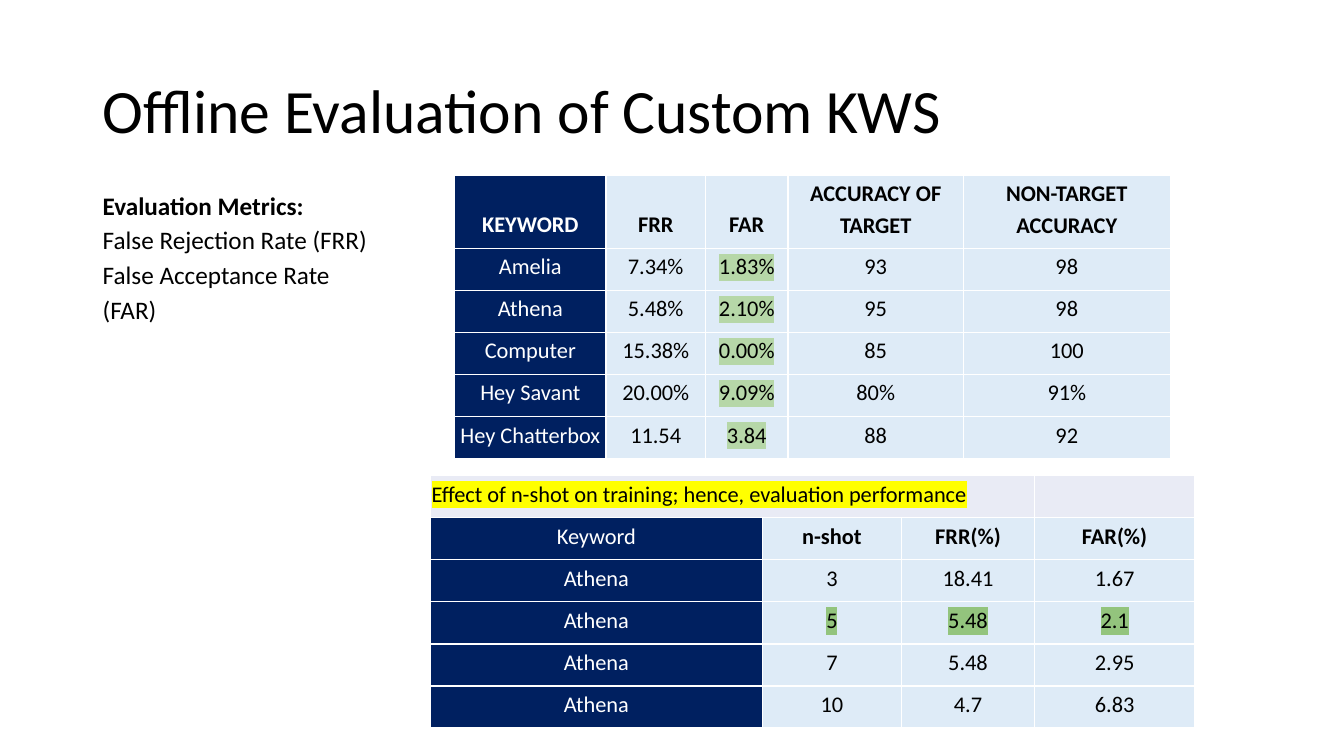
from lxml import etree
from pptx import Presentation, util as u
from pptx.dml.color import RGBColor
from pptx.enum import text
from pptx.oxml import ns

NAVY, PALE, LILAC = "002060", "DEEBF7", "E9EBF5"
WHITE, BLACK = "FFFFFF", "000000"
YELLOW, LIGHT_GREEN, GREEN = "FFFF00", "B6D7A8", "93C47D"


def color(code):
    return RGBColor.from_string(code)


class Page:
    """Holds the text style and the current slide, and adds elements to it."""

    font = "Calibri"

    def __init__(self, deck):
        self.slide = deck.slides.add_slide(deck.slide_layouts[6])

    def style(self, para, size, ink=BLACK, bold=False, mark=None, spacing=1.15):
        para.line_spacing = spacing
        for span in para.runs:
            span.font.size = u.Pt(size)
            span.font.bold = bold
            span.font.color.rgb = color(ink)
            if mark:
                highlight = etree.SubElement(span.font._element, ns.qn("a:highlight"))
                etree.SubElement(highlight, ns.qn("a:srgbClr"), val=mark)
            span.font.name = self.font

    def text_box(self, area, lines, size, spacing, bold_first=False,
                 anchor=text.MSO_ANCHOR.TOP, inset=0.25):
        box = self.slide.shapes.add_textbox(*map(u.Cm, area))
        frame = box.text_frame
        frame.word_wrap = True
        frame.vertical_anchor = anchor
        frame.margin_top = frame.margin_bottom = u.Cm(inset)
        frame.text = "\n".join(lines)
        for index, para in enumerate(frame.paragraphs):
            self.style(para, size, bold=bold_first and index == 0, spacing=spacing)

    def border(self, cell):
        properties = cell._tc.get_or_add_tcPr()
        for index, side in enumerate(("lnL", "lnR", "lnT", "lnB")):
            line = etree.Element(ns.qn(f"a:{side}"), w=str(u.Pt(1)))
            fill = etree.SubElement(line, ns.qn("a:solidFill"))
            etree.SubElement(fill, ns.qn("a:srgbClr"), val=WHITE)
            properties.insert(index, line)

    def fill_cell(self, cell, words, fill, ink=BLACK, bold=False, mark=None,
                  align=text.PP_ALIGN.CENTER):
        cell.fill.solid()
        cell.fill.fore_color.rgb = color(fill)
        self.border(cell)
        if not words:
            return
        cell.vertical_anchor = text.MSO_ANCHOR.BOTTOM
        cell.margin_left = cell.margin_right = cell.margin_top = u.Cm(0.03)
        cell.margin_bottom = u.Cm(0.25)
        cell.text = words
        para = cell.text_frame.paragraphs[0]
        para.alignment = align
        self.style(para, 16, ink, bold, mark)

    def table(self, left, top, height, widths, heights, rows, header, bold_cells, marks):
        frame = self.slide.shapes.add_table(
            len(rows), len(widths), u.Cm(left), u.Cm(top), u.Cm(sum(widths)), u.Cm(height))
        table = frame.table
        table.first_row = table.horz_banding = False
        for column, width in zip(table.columns, widths):
            column.width = u.Cm(width)
        for row, row_height in zip(table.rows, heights):
            row.height = u.Cm(row_height)
        frame.height = u.Cm(height)
        for r, row in enumerate(rows):
            for c, words in enumerate(row):
                cell = table.cell(r, c)
                if r < header:
                    self.fill_cell(cell, words, LILAC, mark=YELLOW, align=text.PP_ALIGN.LEFT)
                else:
                    self.fill_cell(cell, words, PALE if c else NAVY, BLACK if c else WHITE,
                                   (r, c) in bold_cells, marks.get((r, c)))
        return table


def main():
    deck = Presentation()
    deck.slide_width, deck.slide_height = u.Cm(33.87), u.Cm(19.05)
    page = Page(deck)

    page.text_box((2.34, 1.02, 29.21, 3.68), ["Offline Evaluation of Custom KWS"],
                  44, 0.9, anchor=text.MSO_ANCHOR.MIDDLE, inset=0.13)

    keyword_rows = [
        ("KEYWORD", "FRR", "FAR", "ACCURACY OF TARGET", "NON-TARGET ACCURACY"),
        ("Amelia", "7.34%", "1.83%", "93", "98"),
        ("Athena", "5.48%", "2.10%", "95", "98"),
        ("Computer", "15.38%", "0.00%", "85", "100"),
        ("Hey Savant", "20.00%", "9.09%", "80%", "91%"),
        ("Hey Chatterbox", "11.54", "3.84", "88", "92"),
    ]
    page.table(11.46, 4.42, 6.81, (3.81, 2.51, 2.08, 4.42, 5.21), [1.32] + [0.69] * 5,
               keyword_rows, header=0, bold_cells={(0, c) for c in range(5)},
               marks={(r, 2): LIGHT_GREEN for r in range(1, 6)})

    page.text_box((2.34, 4.42, 7.7, 3.94),
                  ["Evaluation Metrics:", "False Rejection Rate (FRR)",
                   "False Acceptance Rate (FAR)"], 18, 1.15, bold_first=True)

    shot_rows = [
        ("Effect of n-shot on training; hence, evaluation performance", "", "", ""),
        ("Keyword", "n-shot", "FRR(%)", "FAR(%)"),
        ("Athena", "3", "18.41", "1.67"),
        ("Athena", "5", "5.48", "2.1"),
        ("Athena", "7", "5.48", "2.95"),
        ("Athena", "10", "4.7", "6.83"),
    ]
    shots = page.table(10.85, 11.99, 6.07, (8.36, 3.51, 3.35, 4.04),
                       [0.69, 0.99] + [0.69] * 4, shot_rows, header=1,
                       bold_cells={(1, c) for c in range(1, 4)},
                       marks={(3, c): GREEN for c in range(1, 4)})
    shots.cell(0, 0).merge(shots.cell(0, 2))

    deck.save("out.pptx")


if __name__ == "__main__":
    main()
